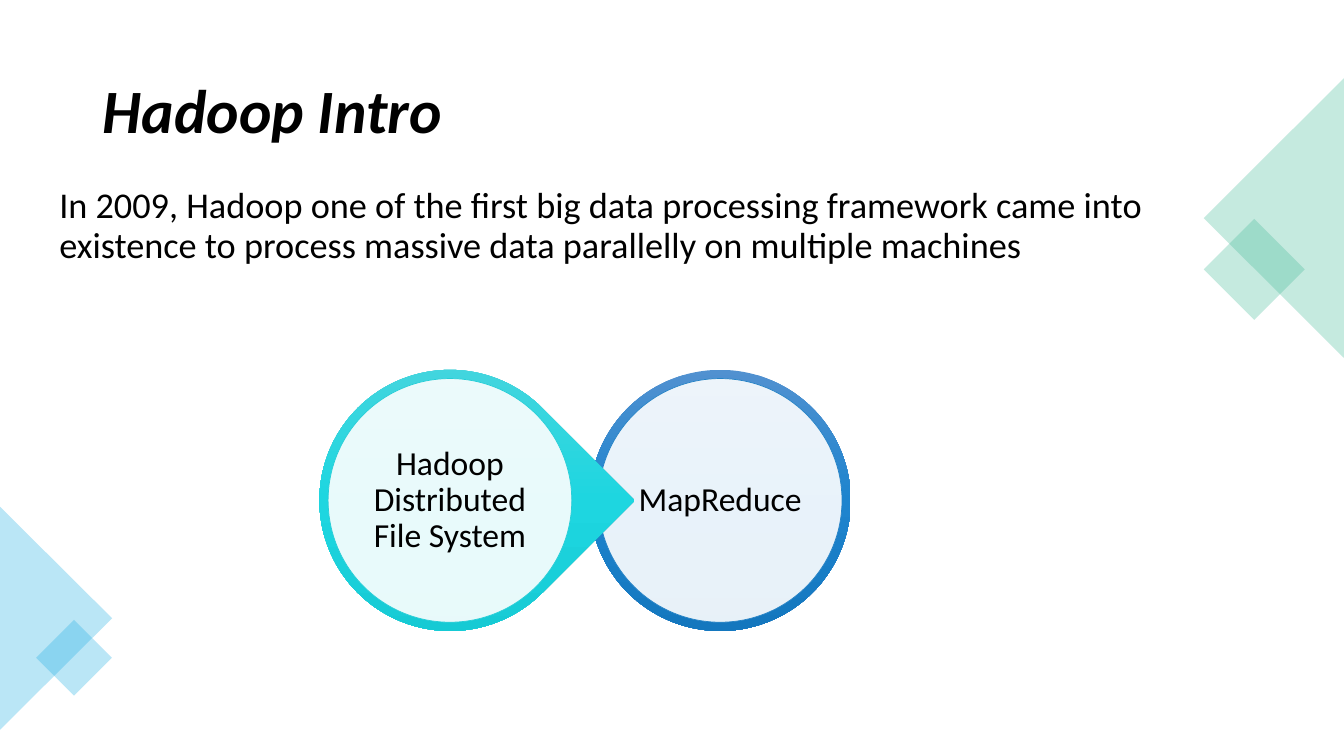
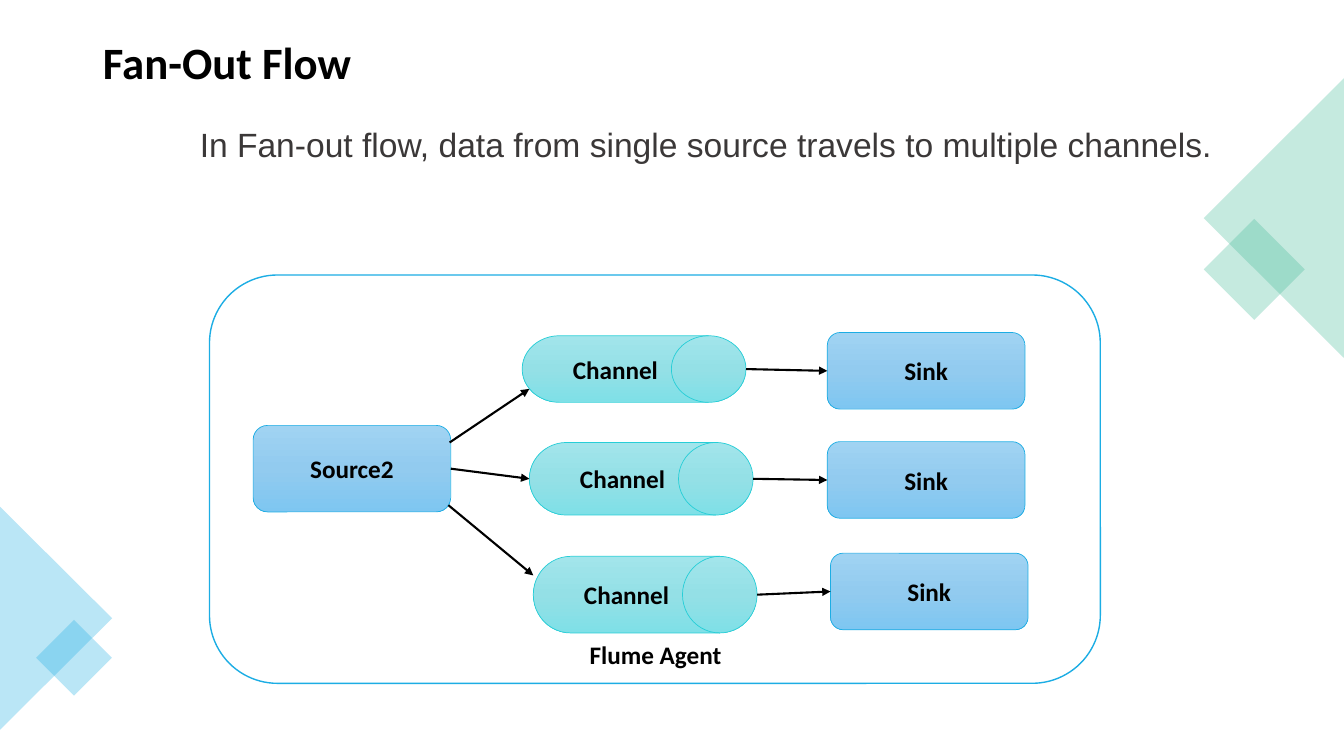
from copy import deepcopy
from typing import NamedTuple, Optional

from pptx import Presentation
from pptx.dml.color import RGBColor
from pptx.enum.shapes import MSO_CONNECTOR, MSO_SHAPE
from pptx.enum.text import MSO_ANCHOR, MSO_AUTO_SIZE, PP_ALIGN
from pptx.oxml.ns import qn
from pptx.util import Cm, Pt
from lxml import etree

RECT, TRI = MSO_SHAPE.RECTANGLE, MSO_SHAPE.ISOSCELES_TRIANGLE
ROUND, DRUM = MSO_SHAPE.ROUNDED_RECTANGLE, MSO_SHAPE.FLOWCHART_DIRECT_ACCESS_STORAGE
OVAL, DROP = MSO_SHAPE.OVAL, MSO_SHAPE.TEAR
LINE = MSO_CONNECTOR.STRAIGHT
MIDDLE, TOP = MSO_ANCHOR.MIDDLE, MSO_ANCHOR.TOP
LEFT, CENTER = PP_ALIGN.LEFT, PP_ALIGN.CENTER
FIXED, GROW = MSO_AUTO_SIZE.NONE, MSO_AUTO_SIZE.SHAPE_TO_FIT_TEXT
WEST, EAST = 1, 3  # connection sites

BLACK = RGBColor(0x00, 0x00, 0x00)
WHITE = RGBColor(0xFF, 0xFF, 0xFF)
GRAY = RGBColor(0x3B, 0x38, 0x38)
GREEN = RGBColor(0x42, 0xBA, 0x97)
SKY = RGBColor(0x1C, 0xAD, 0xE4)
BLUE = RGBColor(0x26, 0x83, 0xC6)
TEAL = RGBColor(0x27, 0xCE, 0xD7)
BLUES = (RGBColor(0x51, 0x91, 0xD0), RGBColor(0x1E, 0x84, 0xCE), RGBColor(0x14, 0x77, 0xBE))
TEALS = (RGBColor(0x52, 0xD5, 0xDD), RGBColor(0x1E, 0xD6, 0xE0), RGBColor(0x13, 0xC5, 0xCF))
PALE_SKY = (RGBColor(0xA0, 0xD3, 0xF2), RGBColor(0x92, 0xCB, 0xEF), RGBColor(0x7E, 0xC6, 0xF1))
PALE_TEAL = (RGBColor(0xA2, 0xE5, 0xEB), RGBColor(0x94, 0xE0, 0xE6), RGBColor(0x7F, 0xE0, 0xE7))


class Box(NamedTuple):
    x: float
    y: float
    w: float
    h: float


class Style(NamedTuple):
    size: float
    color: RGBColor = BLACK
    bold: bool = False
    slant: bool = False
    face: str = "Calibri"


class Decor(NamedTuple):
    kind: int
    box: Box
    turn: int
    color: RGBColor


class Ring(NamedTuple):
    text: str
    kind: int
    x: float
    turn: int
    tones: tuple
    edge: RGBColor


class Row(NamedTuple):
    drum: Box
    sink: Box


DECOR = (
    Decor(RECT, Box(30.71, 5.89, 1.8, 1.8), 45, GREEN),
    Decor(TRI, Box(28.58, 3.73, 7.04, 3.53), 270, GREEN),
    Decor(TRI, Box(-1.39, 14.17, 5.61, 2.82), 90, SKY),
    Decor(RECT, Box(1.19, 15.9, 1.35, 1.35), 45, SKY),
)
LABEL = Style(18, bold=True)
RINGS = (
    Ring("MapReduce", OVAL, 14.86, 0, BLUES, BLUE),
    Ring("Hadoop Distributed File System", DROP, 8.05, 45, TEALS, TEAL),
)
RING_Y, RING_D, RIM = 9.32, 6.58, 0.22
ROWS = (
    Row(Box(13.16, 8.46, 5.64, 1.68), Box(20.85, 8.38, 4.98, 1.93)),
    Row(Box(13.34, 11.15, 5.64, 1.83), Box(20.85, 11.13, 4.98, 1.93)),
    Row(Box(13.44, 14.02, 5.64, 1.93), Box(20.93, 13.94, 4.98, 1.93)),
)
SLANTS = ((11.33, 11.15, 13.34, 9.8), (11.3, 12.73, 13.44, 14.5))


def place(shape, box: Box) -> None:
    shape.left, shape.top, shape.width, shape.height = map(Cm, box)


def write(shape, text: str, style: Style, align=CENTER, anchor=MIDDLE,
          space: float = 1.0, pad: Optional[float] = None):
    frame = shape.text_frame
    frame.word_wrap = True
    frame.auto_size = FIXED
    frame.vertical_anchor = anchor
    if pad is not None:
        frame.margin_left = frame.margin_right = Cm(pad)
        frame.margin_top = frame.margin_bottom = Cm(pad)
    para = frame.paragraphs[0]
    para.alignment = align
    para.line_spacing = space
    para.space_before = Pt(0)
    run = para.add_run()
    run.text = text
    font = run.font
    font.name, font.size = style.face, Pt(style.size)
    font.bold, font.italic = style.bold, style.slant
    font.color.rgb = style.color
    return frame


def draw(slide, kind, box: Box, edge: Optional[RGBColor] = None, width: float = 0.5):
    shape = slide.shapes.add_shape(kind, *map(Cm, box))
    shape.shadow.inherit = False
    if edge is None:
        shape.line.fill.background()
    else:
        shape.line.color.rgb = edge
        shape.line.width = Pt(width)
    return shape


def paint(shape, color: RGBColor, alpha: int = 100) -> None:
    shape.fill.solid()
    shape.fill.fore_color.rgb = color
    if alpha < 100:
        tone = shape.element.spPr.find(qn("a:solidFill")).find(qn("a:srgbClr"))
        etree.SubElement(tone, qn("a:alpha")).set("val", str(alpha * 1000))


def blend(shape, tones: tuple) -> None:
    """Fill from top to bottom with three tones."""
    fill = shape.fill
    fill.gradient()
    fill.gradient_angle = 270
    grad = shape.element.spPr.find(qn("a:gradFill"))
    grad.set("rotWithShape", "0")
    stops = grad.find(qn("a:gsLst"))
    stops.insert(1, deepcopy(stops[0]))
    for stop, spot, tone in zip(fill.gradient_stops, (0, 0.5, 1), tones):
        stop.position = spot
        stop.color.rgb = tone


def arrow(slide, x1: float, y1: float, x2: float, y2: float):
    link = slide.shapes.add_connector(LINE, *map(Cm, (x1, y1, x2, y2)))
    link.line.color.rgb = BLACK
    link.line.width = Pt(1.5)
    props = link.element.spPr
    etree.SubElement(props.find(qn("a:ln")), qn("a:tailEnd")).set("type", "triangle")
    etree.SubElement(props, qn("a:effectLst"))
    return link


def start(deck, title: str, top: float, head: Style, text: str, box: Box, style: Style):
    """Add a slide with the corner decor, a title and a lead text."""
    slide = deck.slides.add_slide(deck.slide_layouts[1])
    for part in DECOR:
        shape = draw(slide, part.kind, part.box)
        shape.rotation = part.turn
        paint(shape, part.color, 30)
    name, body = slide.placeholders
    place(name, Box(2.34, top, 29.21, 3.68))
    write(name, title, head, LEFT, MIDDLE, 0.9)
    place(body, box)
    props = body.text_frame.paragraphs[0]._p.get_or_add_pPr()
    props.set("marL", "0")
    props.set("indent", "0")
    etree.SubElement(props, qn("a:buNone"))
    write(body, text, style, LEFT, TOP, 0.9)
    return slide


def intro(deck) -> None:
    slide = start(
        deck, "Hadoop Intro", 1.02, Style(44, bold=True, slant=True),
        "In 2009, Hadoop one of the first big data processing framework came into "
        "existence to process massive data parallelly on multiple machines",
        Box(1.24, 4.6, 27.91, 2.95), Style(25.9))
    # Linked rings
    for ring in RINGS:
        rim = draw(slide, ring.kind, Box(ring.x, RING_Y, RING_D, RING_D))
        rim.rotation = ring.turn
        blend(rim, ring.tones)
        side = RING_D - 2 * RIM
        disc = draw(slide, OVAL, Box(ring.x + RIM, RING_Y + RIM, side, side), ring.edge)
        paint(disc, WHITE, 90)
        write(disc, ring.text, Style(24), space=0.9, pad=0.08)


def node(slide, kind, box: Box, text: str, tones: tuple, edge: RGBColor):
    shape = draw(slide, kind, box, edge)
    blend(shape, tones)
    write(shape, text, LABEL)
    return shape


def flow(deck) -> None:
    slide = start(
        deck, "Fan-Out Flow", -0.2, Style(32, bold=True),
        "In Fan-out flow, data from single source travels to multiple channels.",
        Box(4.78, 3.12, 27.91, 4.39), Style(24, GRAY, face="Arial"))
    # Agent frame and its label
    agent = draw(slide, ROUND, Box(5.28, 6.93, 22.45, 10.29), SKY, 1)
    paint(agent, WHITE)
    label = slide.shapes.add_textbox(*map(Cm, (14.61, 15.98, 5.38, 1.42)))
    write(label, "Flume Agent", LABEL, LEFT, TOP).auto_size = GROW
    # Source, channels and sinks
    source = node(slide, ROUND, Box(6.38, 10.72, 4.98, 2.18), "Source2", PALE_SKY, SKY)
    drums = []
    for row in ROWS:
        drum, sink = row
        drums.append(node(slide, DRUM, drum, "Channel", PALE_TEAL, TEAL))
        goal = node(slide, ROUND, sink, "Sink", PALE_SKY, SKY)
        mid = drum.y + drum.h / 2
        arrow(slide, drum.x + drum.w, mid, sink.x, mid).end_connect(goal, WEST)
    # Arrows fanning out
    link = arrow(slide, 11.36, 11.81, 13.34, 12.07)
    link.begin_connect(source, EAST)
    link.end_connect(drums[1], WEST)
    for ends in SLANTS:
        arrow(slide, *ends)


def main() -> None:
    deck = Presentation()
    deck.slide_width, deck.slide_height = Cm(33.87), Cm(19.05)
    intro(deck)
    flow(deck)
    deck.save("out.pptx")


if __name__ == "__main__":
    main()
